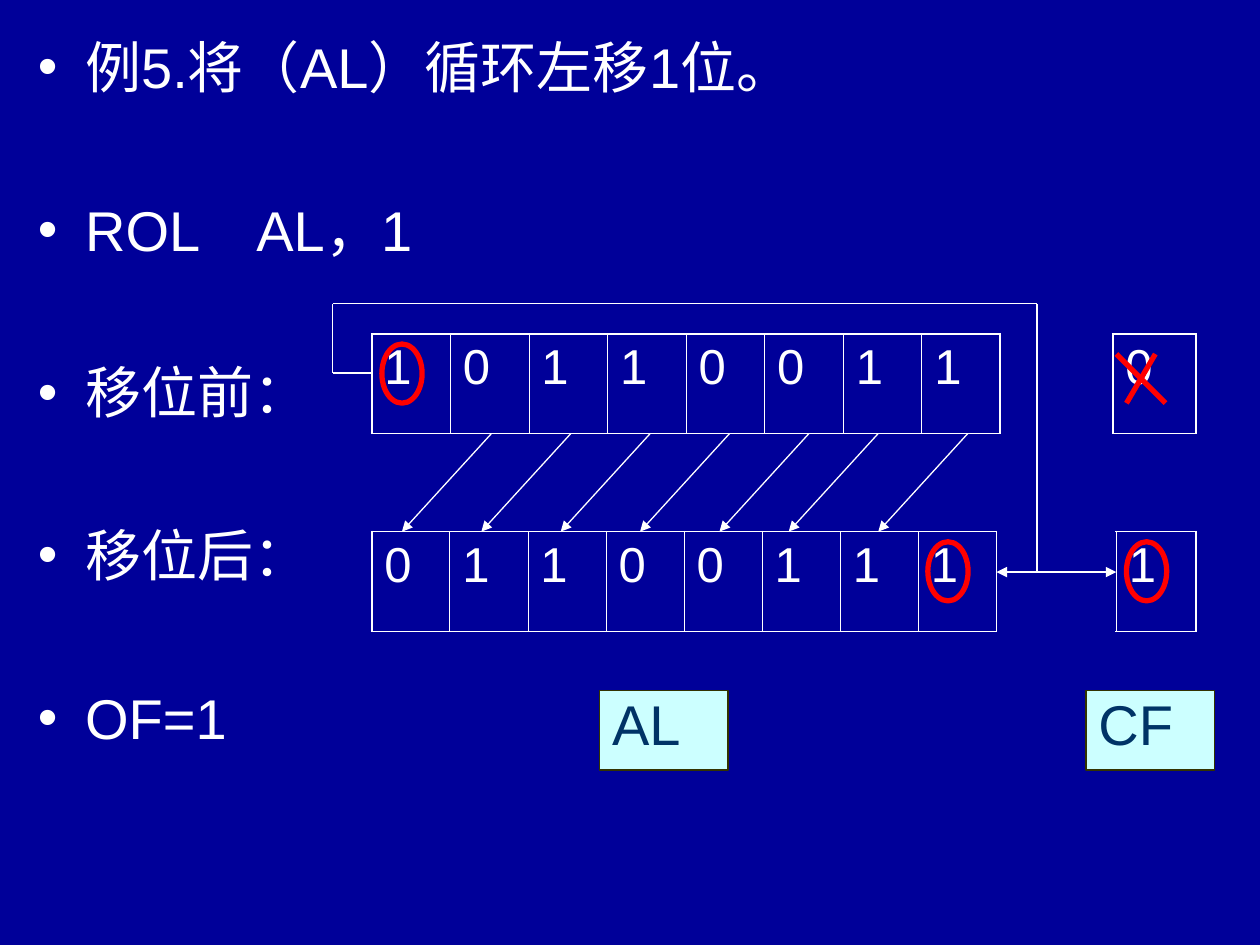
from itertools import pairwise

from pptx import Presentation
from pptx.dml.color import RGBColor
from pptx.enum.shapes import MSO_CONNECTOR, MSO_SHAPE
from pptx.enum.text import MSO_ANCHOR, MSO_AUTO_SIZE, PP_ALIGN
from pptx.oxml.ns import qn
from pptx.util import Pt
from lxml import etree

NAVY = RGBColor(0x00, 0x00, 0x99)
WHITE = RGBColor(0xFF, 0xFF, 0xFF)
RED = RGBColor(0xFF, 0x00, 0x00)
PALE_CYAN = RGBColor(0xCC, 0xFF, 0xFF)
DARK_OLIVE = RGBColor(0x33, 0x33, 0x00)
DARK_BLUE = RGBColor(0x00, 0x33, 0x66)

STRAIGHT = MSO_CONNECTOR.STRAIGHT
RECTANGLE = MSO_SHAPE.RECTANGLE
OVAL = MSO_SHAPE.OVAL
TOP = MSO_ANCHOR.TOP
LEFT = PP_ALIGN.LEFT
NO_AUTOFIT = MSO_AUTO_SIZE.NONE

BEFORE_TOP, AFTER_TOP, ROW_HEIGHT = 190.8, 303.8, 57
REGISTER_LEFT, AFTER_WIDTH = 212.4, 357.1
CARRY_LEFT = 637.9


def write(para, text, size=32, color=WHITE, font="Arial", line_spacing=None, before=0):
    """Put one formatted run of text into a paragraph."""
    span = para.add_run()
    span.text = text
    span.font.size = Pt(size)
    span.font.name = font
    span.font.color.rgb = color
    para.alignment = LEFT
    para.space_before = Pt(before)
    if line_spacing:
        para.line_spacing = line_spacing


class SlideBuilder:
    def __init__(self, deck):
        self.thin, self.thick = 0.75, 3
        self.inner_border, self.outer_border = 0.45, 1.08
        self.page = deck.slides.add_slide(deck.slide_layouts[1])
        self.page.background.fill.solid()
        self.page.background.fill.fore_color.rgb = NAVY
        title = self.page.shapes.title
        title.element.getparent().remove(title.element)

    def bullets(self, lines, left, top, width, height, gap):
        body = self.page.placeholders[1]
        body.left, body.top, body.width, body.height = map(Pt, (left, top, width, height))
        frame = body.text_frame
        frame.auto_size = NO_AUTOFIT
        frame.vertical_anchor = TOP
        for index, line in enumerate(lines):
            para = frame.add_paragraph() if index else frame.paragraphs[0]
            write(para, line, line_spacing=Pt(38.4), before=gap if index else 0)
            properties = para._p.get_or_add_pPr()
            properties.set("marL", str(Pt(27)))
            properties.set("indent", str(-Pt(27)))
            etree.SubElement(properties, qn("a:buFont"), typeface="Arial")
            etree.SubElement(properties, qn("a:buChar"), char="•")

    def bit_row(self, bits, left, top, width):
        count = len(bits)
        table = self.page.shapes.add_table(
            1, count, Pt(left), Pt(top), Pt(width), Pt(ROW_HEIGHT)).table
        table.first_row = table.horz_banding = False
        for index, bit in enumerate(bits):
            table.columns[index].width = Pt(width / count)
            cell = table.cell(0, index)
            write(cell.text_frame.paragraphs[0], bit, size=28)
            cell.vertical_anchor = TOP
            sides = {
                "a:lnL": self.inner_border if index else self.outer_border,
                "a:lnR": self.inner_border if index < count - 1 else self.outer_border,
                "a:lnT": self.outer_border,
                "a:lnB": self.outer_border,
            }
            for side, weight in sides.items():
                self.border(cell, side, weight)
            cell.fill.background()

    def border(self, cell, side, weight):
        properties = cell._tc.get_or_add_tcPr()
        line = etree.SubElement(properties, qn(side), w=str(Pt(weight)))
        fill = etree.SubElement(line, qn("a:solidFill"))
        etree.SubElement(fill, qn("a:srgbClr"), val=str(WHITE))

    def label(self, text, left, top):
        box = self.page.shapes.add_shape(RECTANGLE, Pt(left), Pt(top), Pt(73.4), Pt(45.4))
        box.shadow.inherit = False
        box.fill.solid()
        box.fill.fore_color.rgb = PALE_CYAN
        box.line.color.rgb = DARK_OLIVE
        box.line.width = Pt(self.thin)
        box.text_frame.vertical_anchor = TOP
        write(box.text_frame.paragraphs[0], text, color=DARK_BLUE, line_spacing=0.9)

    def ring(self, left, top):
        ring = self.page.shapes.add_shape(OVAL, Pt(left), Pt(top), Pt(23), Pt(33.8))
        ring.shadow.inherit = False
        ring.fill.background()
        ring.line.color.rgb = RED
        ring.line.width = Pt(self.thick)

    def line(self, start, end, color=WHITE, weight=None, arrow=False):
        connector = self.page.shapes.add_connector(STRAIGHT, *map(Pt, (*start, *end)))
        connector.line.color.rgb = color
        connector.line.width = Pt(weight or self.thin)
        if arrow:
            etree.SubElement(connector.line._get_or_add_ln(), qn("a:tailEnd"), type="triangle")
        etree.SubElement(connector._element.spPr, qn("a:effectLst"))


def main():
    deck = Presentation()
    deck.slide_width, deck.slide_height = Pt(720), Pt(540)
    slide = SlideBuilder(deck)

    # Instruction and row captions
    slide.bullets(
        ["例5.将（AL）循环左移1位。", "ROL　AL，1", "移位前：", "移位后：", "OF=1"],
        14.4, 15.1, 692, 510.5, gap=54.5)

    # Register and carry flag, before and after the shift
    slide.bit_row("10110011", REGISTER_LEFT, BEFORE_TOP, 359.3)
    slide.bit_row("0", 635.8, BEFORE_TOP, 47.5)
    slide.bit_row("1", CARRY_LEFT, AFTER_TOP, 45.4)
    slide.bit_row("01100111", REGISTER_LEFT, AFTER_TOP, AFTER_WIDTH)
    slide.label("CF", 620.6, 394.6)
    slide.label("AL", 342.7, 394.6)

    # Old carry crossed out
    slide.line((637.9, 202.3), (666, 230.4), RED, slide.thick)
    slide.line((660.2, 202.3), (643.7, 230.4), RED, slide.thick)

    # Each bit moves one place to the left
    for start in [280.8 + 45.36 * step for step in range(5)] + [501.8, 553]:
        slide.line((start, BEFORE_TOP + ROW_HEIGHT), (start - 51.1, AFTER_TOP), arrow=True)

    # The top bit travels round to the lowest bit and to the carry
    fork = (592.6, 326.9)
    route = [(REGISTER_LEFT, 213.1), (190.1, 213.1), (190.1, 173.5), (fork[0], 173.5), fork]
    for start, end in pairwise(route):
        slide.line(start, end)
    for target in (REGISTER_LEFT + AFTER_WIDTH, CARRY_LEFT):
        slide.line(fork, (target, fork[1]), arrow=True)

    # Rings around the travelling bit
    for left, top in ((218.2, 196.6), (643.7, 309.6), (530.2, 309.6)):
        slide.ring(left, top)

    deck.save("out.pptx")


if __name__ == "__main__":
    main()
